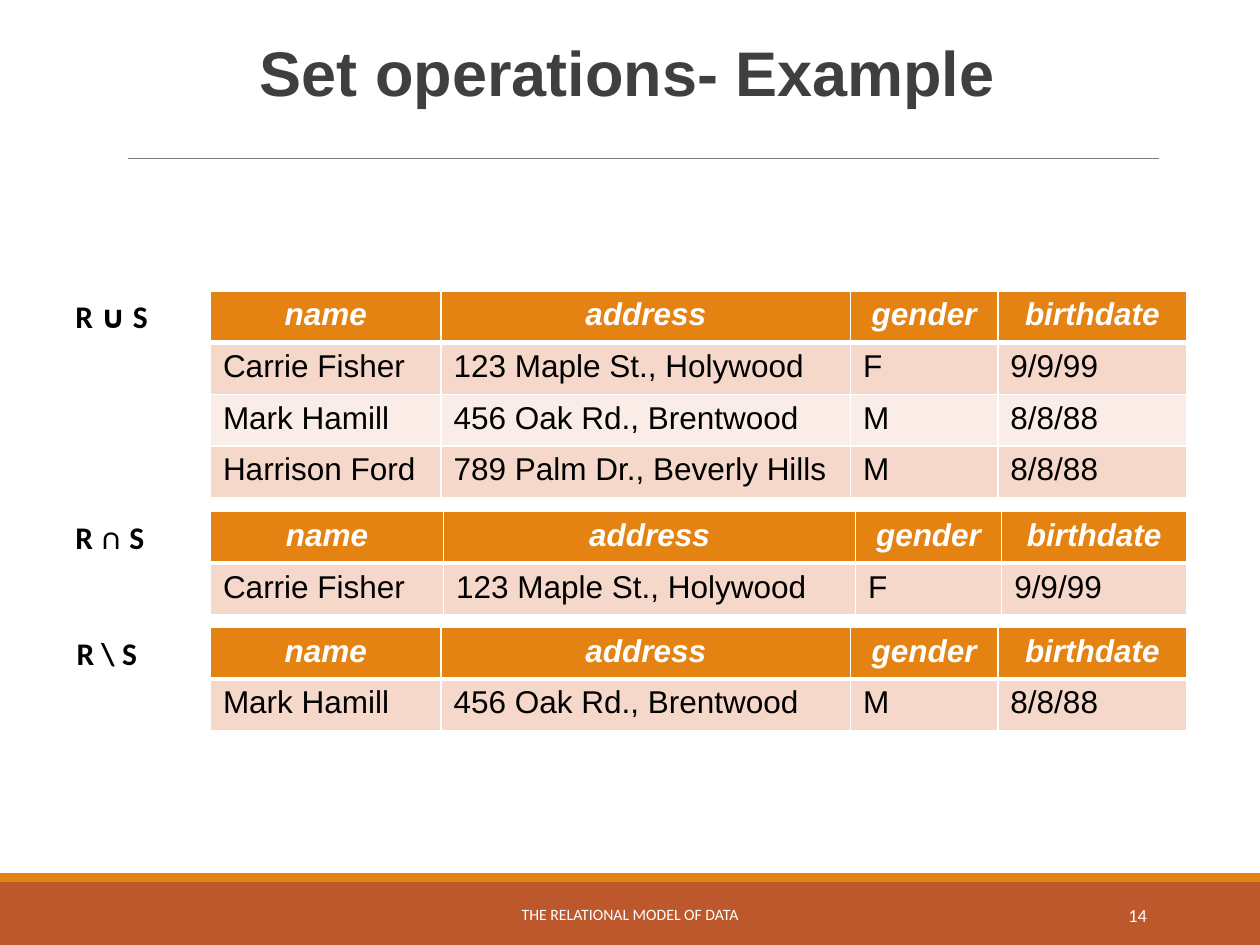
from lxml import etree
from pptx import Presentation, util as u
from pptx.dml.color import RGBColor
from pptx.enum import shapes, text
from pptx.oxml import ns

WIDTH, HEIGHT = 10, 7.5
ORANGE, RUST, GREY, WHITE, BLACK = "E48312", "BD582C", "7F7F7F", "FFFFFF", "000000"
BANDS = ["F5D8CA", "FAECE6"]
LEFT, CENTER, RIGHT = text.PP_ALIGN.LEFT, text.PP_ALIGN.CENTER, text.PP_ALIGN.RIGHT

HEADER = ["name", "address", "gender", "birthdate"]
CARRIE = ["Carrie Fisher", "123 Maple St., Holywood", "F", "9/9/99"]
MARK = ["Mark Hamill", "456 Oak Rd., Brentwood", "M", "8/8/88"]
HARRISON = ["Harrison Ford", "789 Palm Dr., Beverly Hills", "M", "8/8/88"]
WIDE = [1.83, 3.25, 1.17, 1.5]
OPERATIONS = [
    ("R ∪ S", 0.5, 2.31, WIDE, [CARRIE, MARK, HARRISON]),
    ("R ∩ S", 0.5, 4.06, [1.85, 3.27, 1.16, 1.47], [CARRIE]),
    ("R \\ S", 0.51, 4.98, WIDE, [MARK]),
]
TABLE_LEFT, ROW_HEIGHT = 1.67, 0.41
FOOTER_TOP, STRIPE = 7, 0.07

deck = Presentation()
deck.slide_width, deck.slide_height = u.Inches(WIDTH), u.Inches(HEIGHT)
slide = deck.slides.add_slide(deck.slide_layouts[6])


def color(value):
    return RGBColor.from_string(value)


def inches(*lengths):
    return [u.Inches(length) for length in lengths]


def style(paragraph, size, face, shade, align=LEFT, bold=False, italic=False):
    paragraph.alignment = align
    for run in paragraph.runs:
        font = run.font
        font.size, font.name, font.bold, font.italic = u.Pt(size), face, bold, italic
        font.color.rgb = color(shade)


def add_text(words, box, *look, anchor=text.MSO_ANCHOR.TOP, **extra):
    frame = slide.shapes.add_textbox(*inches(*box)).text_frame
    frame.word_wrap = True
    frame.vertical_anchor = anchor
    frame.text = words
    style(frame.paragraphs[0], *look, **extra)
    return frame.paragraphs[0]


def add_bar(top, height, shade):
    bar = slide.shapes.add_shape(shapes.MSO_SHAPE.RECTANGLE, *inches(0, top, WIDTH, height))
    bar.shadow.inherit = False
    bar.fill.solid()
    bar.fill.fore_color.rgb = color(shade)
    bar.line.fill.background()


def add_borders(cell, bottom):
    properties = cell._tc.get_or_add_tcPr()
    for side, points in (("L", 1), ("R", 1), ("T", 1), ("B", bottom)):
        edge = etree.SubElement(properties, ns.qn(f"a:ln{side}"), w=str(u.Pt(points)))
        fill = etree.SubElement(edge, ns.qn("a:solidFill"))
        etree.SubElement(fill, ns.qn("a:srgbClr"), val=WHITE)


def add_relation(top, widths, people):
    rows = [HEADER] + people
    box = inches(TABLE_LEFT, top, sum(widths), ROW_HEIGHT * len(rows))
    relation = slide.shapes.add_table(len(rows), len(widths), *box).table
    for column, width in zip(relation.columns, widths):
        column.width = u.Inches(width)
    for r, row in enumerate(rows):
        relation.rows[r].height = u.Inches(ROW_HEIGHT)
        heading = r == 0
        for c, value in enumerate(row):
            cell = relation.cell(r, c)
            cell.text = value
            add_borders(cell, 3 if heading else 1)
            cell.fill.solid()
            cell.fill.fore_color.rgb = color(ORANGE if heading else BANDS[(r - 1) % 2])
            style(cell.text_frame.paragraphs[0], 18, "Arial", WHITE if heading else BLACK,
                  CENTER if heading else LEFT, heading, heading)


add_bar(FOOTER_TOP, HEIGHT - FOOTER_TOP, RUST)
add_bar(FOOTER_TOP - STRIPE, STRIPE, ORANGE)
rule = slide.shapes.add_connector(shapes.MSO_CONNECTOR.STRAIGHT, *inches(1.02, 1.26, 9.2, 1.26))
rule.line.color.rgb = color(GREY)
rule.line.width = u.Pt(0.75)
etree.SubElement(rule._element.spPr, ns.qn("a:effectLst"))

title = add_text("Set operations- Example", (0.64, 0.31, 8.68, 0.92),
                 36, "Arial", "3F3F3F", CENTER, bold=True)
title.line_spacing = 0.85
add_text("THE RELATIONAL MODEL OF DATA", (3.02, 7.06, 3.96, 0.4),
         9, "Calibri", WHITE, CENTER, anchor=text.MSO_ANCHOR.MIDDLE)
add_text("14", (8.12, 7.06, 1.08, 0.4),
         10.5, "Calibri", WHITE, RIGHT, anchor=text.MSO_ANCHOR.MIDDLE)

for operation, left, top, widths, people in OPERATIONS:
    add_relation(top, widths, people)
    add_text(operation, (left, top, 0.89, 0.4), 18, "Calibri", BLACK, bold=True)

deck.save("out.pptx")
